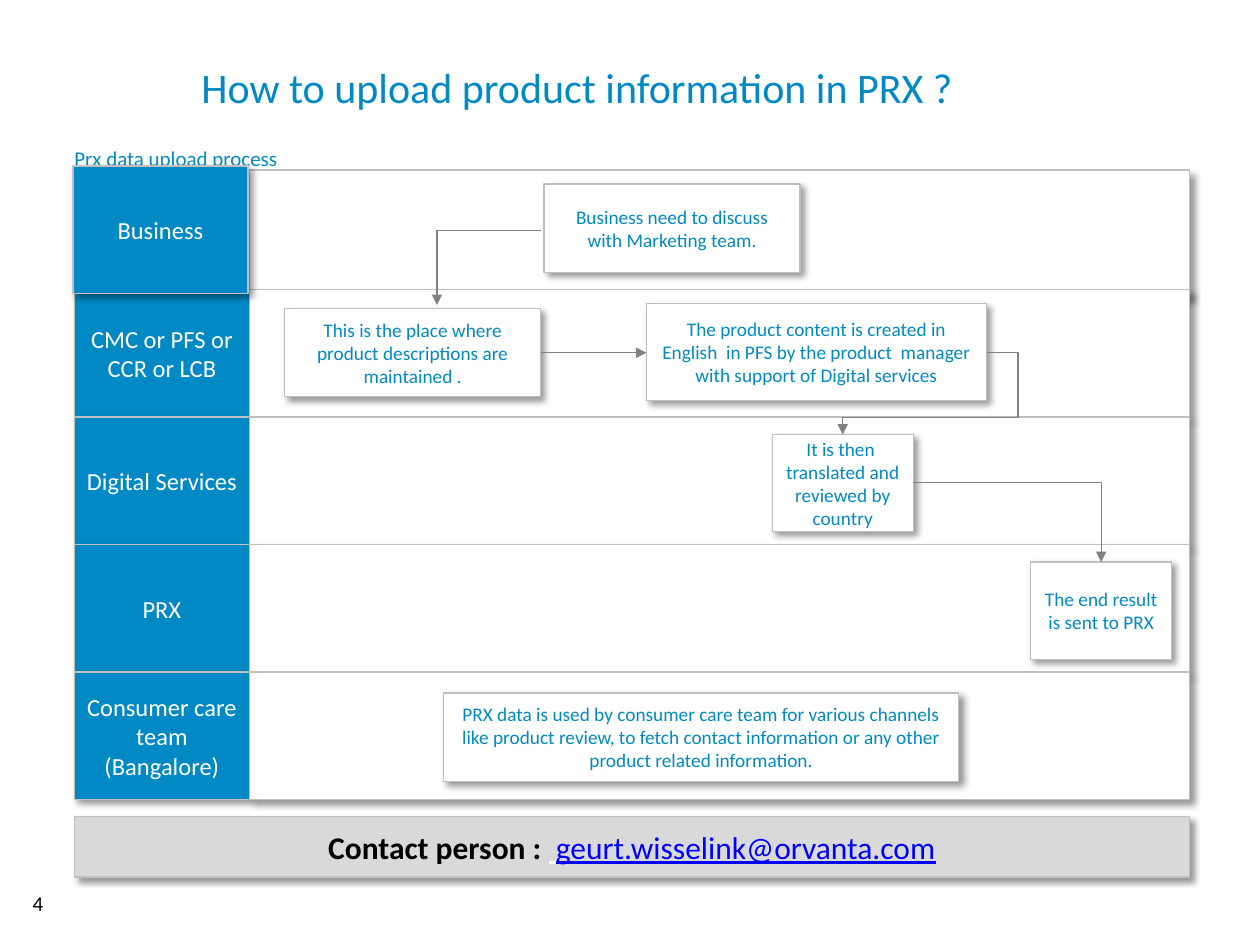
from dataclasses import dataclass

from lxml import etree
from pptx import Presentation
from pptx.dml.color import RGBColor
from pptx.enum.shapes import MSO_CONNECTOR, MSO_SHAPE
from pptx.enum.text import MSO_ANCHOR, PP_ALIGN
from pptx.oxml.ns import qn
from pptx.util import Cm, Pt

RECT = MSO_SHAPE.RECTANGLE
ELBOW = MSO_CONNECTOR.ELBOW
LEFT, MID = PP_ALIGN.LEFT, PP_ALIGN.CENTER
TOP, MIDDLE = MSO_ANCHOR.TOP, MSO_ANCHOR.MIDDLE
FONT = "Calibri"
COLORS = {
    "blue": "0089C4", "white": "FFFFFF", "black": "000000", "link": "0000FF",
    "edge": "BFBFBF", "arrow": "808080", "bar": "D9D9D9",
}


@dataclass
class Box:
    x: float
    y: float
    w: float
    h: float
    text: str = ""
    size: int = 11
    fill: str = "white"
    ink: str = "blue"


@dataclass
class Route:
    x1: float
    y1: float
    x2: float
    y2: float
    kind: str
    bends: tuple[int, ...] = ()


def color(name: str) -> RGBColor:
    return RGBColor.from_string(COLORS[name])


def style(para, size: int, ink: str, align=LEFT) -> None:
    para.alignment = align
    para.font.name = FONT
    para.font.size = Pt(size)
    para.font.color.rgb = color(ink)


def shade(shape) -> None:
    shape.shadow.inherit = False
    effects = shape.element.spPr.find(qn("a:effectLst"))
    outer = etree.SubElement(effects, qn("a:outerShdw"), blurRad="50800",
                             dist="38100", dir="2700000", algn="tl", rotWithShape="0")
    tint = etree.SubElement(outer, qn("a:srgbClr"), val=COLORS["black"])
    etree.SubElement(tint, qn("a:alpha"), val="40000")


def draw_box(slide, box: Box):
    shape = slide.shapes.add_shape(RECT, Cm(box.x), Cm(box.y), Cm(box.w), Cm(box.h))
    shape.fill.solid()
    shape.fill.fore_color.rgb = color(box.fill)
    shape.line.color.rgb = color("edge")
    shape.line.width = Pt(0.75)
    shade(shape)
    frame = shape.text_frame
    frame.word_wrap = True
    frame.vertical_anchor = MIDDLE
    frame.text = box.text
    style(frame.paragraphs[0], box.size, box.ink, MID)
    return shape


def draw_route(slide, route: Route) -> None:
    link = slide.shapes.add_connector(ELBOW, Cm(route.x1), Cm(route.y1),
                                      Cm(route.x2), Cm(route.y2))
    link.line.color.rgb = color("arrow")
    link.line.width = Pt(0.75)
    props = link.element.spPr
    etree.SubElement(props.find(qn("a:ln")), qn("a:tailEnd"), type="triangle")
    etree.SubElement(props, qn("a:effectLst"))
    geom = props.find(qn("a:prstGeom"))
    geom.set("prst", route.kind)
    guides = geom.find(qn("a:avLst"))
    for i, bend in enumerate(route.bends, 1):
        etree.SubElement(guides, qn("a:gd"), name=f"adj{i}", fmla=f"val {bend}")


def set_text(shape, text: str, size: int, ink: str, anchor=TOP) -> None:
    frame = shape.text_frame
    frame.margin_left = frame.margin_right = 0
    frame.margin_top = frame.margin_bottom = 0
    frame.word_wrap = True
    frame.vertical_anchor = anchor
    frame.text = text
    style(frame.paragraphs[0], size, ink)


def add_text(slide, box: Box, anchor=TOP) -> None:
    shape = slide.shapes.add_textbox(Cm(box.x), Cm(box.y), Cm(box.w), Cm(box.h))
    set_text(shape, box.text, box.size, box.ink, anchor)


EDGE, SPLIT, WIDE = 1.5, 5.03, 18.95
FIRST, PITCH = 5.84, 2.57
TEAMS = ["CMC or PFS or CCR or LCB", "Digital Services", "PRX",
         "Consumer care team (Bangalore)"]
TOPS = [FIRST + i * PITCH for i in range(len(TEAMS))]

STEPS = [
    Box(10.97, 3.71, 5.16, 1.78, "Business need to discuss with Marketing team."),
    Box(13.03, 6.12, 6.86, 1.96, "The product content is created in English  in PFS by "
        "the product  manager with support of Digital services"),
    Box(15.57, 8.76, 2.84, 1.96, "It is then  translated and reviewed by country"),
    Box(20.78, 11.33, 2.84, 1.96, "The end result is sent to PRX"),
    Box(5.74, 6.22, 5.16, 1.78,
        "This is the place where product descriptions are maintained ."),
    Box(8.94, 13.97, 10.39, 1.78, "PRX data is used by consumer care team for various "
        "channels like product review, to fetch contact information or any other "
        "product related information."),
]
ROUTES = [
    Route(19.89, 7.11, 16.99, 8.76, "bentConnector4", (-21900, 79400)),
    Route(10.9, 7.11, 13.03, 7.11, "straightConnector1"),
    Route(10.9, 4.65, 8.81, 6.15, "bentConnector2"),
    Route(18.41, 9.73, 22.2, 11.33, "bentConnector2"),
]

deck = Presentation()
deck.slide_width, deck.slide_height = Cm(25.4), Cm(19.05)
slide = deck.slides.add_slide(deck.slide_layouts[5])

title = slide.shapes.title
title.left, title.top, title.width, title.height = Cm(4.06), Cm(1.24), Cm(19.84), Cm(1.88)
set_text(title, "How to upload product information in PRX ?", 24, "blue")
add_text(slide, Box(EDGE, 2.9, 22.48, 0.58, "Prx data upload process", 12), MIDDLE)
add_text(slide, Box(0.66, 17.96, 1.42, 0.51, "4", 12, ink="black"))

for top, team in zip(TOPS, TEAMS):
    draw_box(slide, Box(EDGE, top, 3.53, PITCH, team, 14, "blue", "white"))
for top in [3.43, *TOPS]:
    draw_box(slide, Box(SPLIT, top, WIDE, PITCH))
for step in STEPS:
    draw_box(slide, step)
for route in ROUTES:
    draw_route(slide, route)
draw_box(slide, Box(1.47, 3.35, 3.53, PITCH, "Business", 14, "blue", "white"))

bar = draw_box(slide, Box(EDGE, 16.46, 22.48, 1.22, "Contact person : ", 18, "bar", "black"))
line = bar.text_frame.paragraphs[0]
line.runs[0].font.bold = True
for text, ink in [(" ", "white"), ("geurt.wisselink@orvanta.com", "link")]:
    run = line.add_run()
    run.text = text
    run.font.underline = True
    run.font.color.rgb = color(ink)

deck.save("out.pptx")
